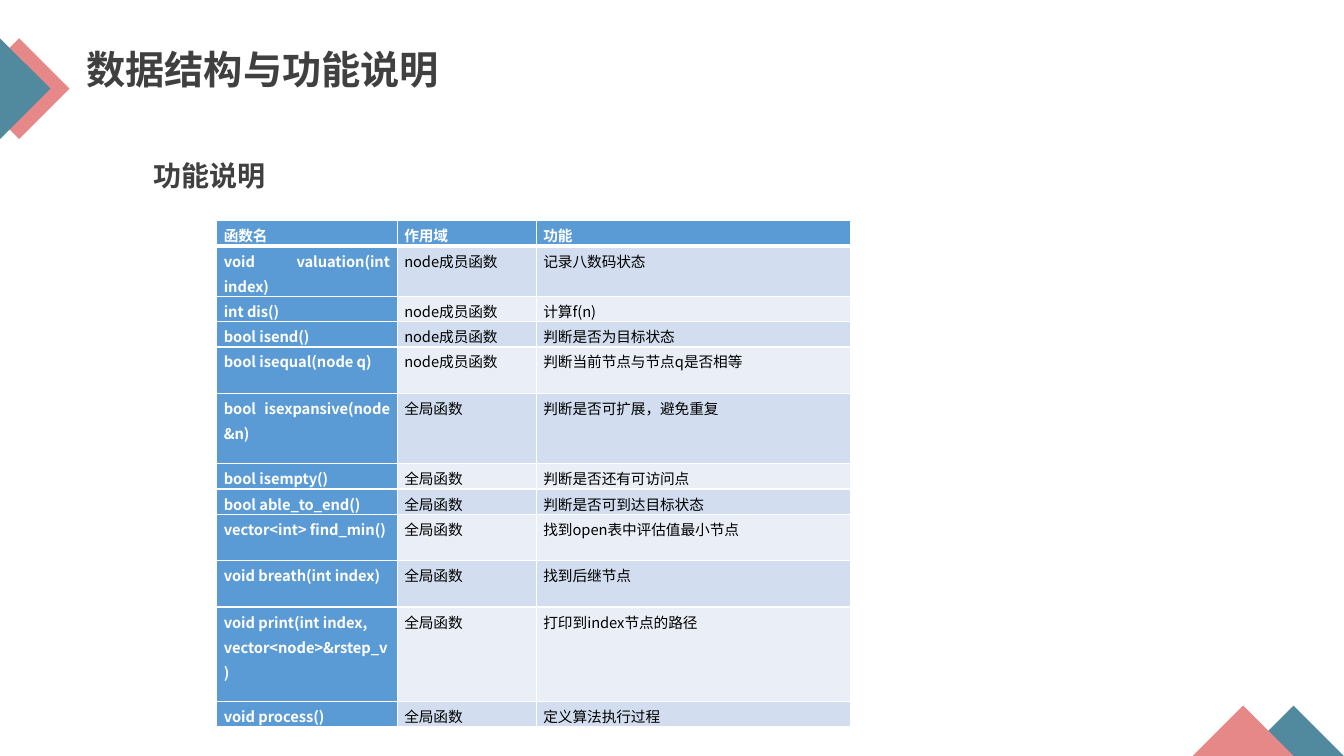
from pptx import Presentation
from pptx import util as u
from pptx.dml.color import RGBColor
from pptx.enum import shapes, text
from pptx.oxml.ns import qn
from lxml import etree

TEAL, PINK, INK = "518A9F", "E78888", "404040"
BLUE, PALE, FAINT = "5B9BD5", "D2DEEF", "EAEFF7"
WHITE, BLACK = "FFFFFF", "000000"


def tint(code):
    return RGBColor.from_string(code)


def cell(n):
    """Length of n grid cells, each half an inch square."""
    return u.Inches(n / 2)


class Deck:
    face = "Noto Sans CJK SC"

    def __init__(self):
        self.prs = Presentation()
        self.prs.slide_width = u.Inches(13.33)
        self.prs.slide_height = u.Inches(7.5)
        self.page = self.prs.slides.add_slide(self.prs.slide_layouts[6])

    def put(self, para, words, size, color, bold):
        run = para.add_run()
        run.text = words
        for key, val in dict(size=u.Pt(size), bold=bold, name=self.face).items():
            setattr(run.font, key, val)
        run.font.color.rgb = tint(color)
        east = etree.SubElement(run.font._element, qn("a:ea"))
        east.set("typeface", self.face)

    def gem(self, x, y, color):
        gem = self.page.shapes.add_shape(
            shapes.MSO_SHAPE.DIAMOND, cell(x), cell(y), cell(2), cell(2))
        gem.shadow.inherit = False
        gem.fill.solid()
        gem.fill.fore_color.rgb = tint(color)
        gem.line.fill.background()

    def label(self, x, y, wide, high, words, size, wrap=True):
        box = self.page.shapes.add_textbox(cell(x), cell(y), cell(wide), cell(high))
        frame = box.text_frame
        frame.word_wrap = wrap
        frame.auto_size = text.MSO_AUTO_SIZE.SHAPE_TO_FIT_TEXT
        self.put(frame.paragraphs[0], words, size, INK, True)

    def edge(self, spot, side, width):
        line = etree.SubElement(spot._tc.get_or_add_tcPr(), qn("a:ln" + side))
        line.set("w", str(u.Pt(width)))
        paint = etree.SubElement(line, qn("a:solidFill"))
        etree.SubElement(paint, qn("a:srgbClr")).set("val", WHITE)

    def fill(self, spot, words, row, col):
        head = row == 0 or col == 0
        widths = dict(L=1, R=1, T=3 if row == 1 else 1, B=3 if row == 0 else 1)
        for side, width in widths.items():
            self.edge(spot, side, width)
        spot.fill.solid()
        spot.fill.fore_color.rgb = tint(BLUE if head else PALE if row % 2 else FAINT)
        pads = dict(margin_left=0.07, margin_right=0.07, margin_top=0, margin_bottom=0)
        for key, val in pads.items():
            setattr(spot, key, u.Inches(val))
        para = spot.text_frame.paragraphs[0]
        para.line_spacing = u.Pt(18)
        # The long print signature stays ragged
        ragged = words.startswith("void print")
        para.alignment = text.PP_ALIGN.LEFT if ragged else text.PP_ALIGN.JUSTIFY
        self.put(para, words, 10.5, WHITE if head else BLACK, head)

    def table(self, x, y, cols, rows):
        highs = [0.48 * lines - 0.04 for lines, *_ in rows]
        grid = self.page.shapes.add_table(
            len(rows), len(cols), cell(x), cell(y),
            cell(sum(cols)), cell(sum(highs))).table
        for col, wide in zip(grid.columns, cols):
            col.width = cell(wide)
        for r, (high, (_, *words)) in enumerate(zip(highs, rows)):
            grid.rows[r].height = cell(high)
            for c, word in enumerate(words):
                self.fill(grid.cell(r, c), word, r, c)


NODE, ALL = "node成员函数", "全局函数"
# Lines of height, name, scope, purpose
ROWS = [
    (1, "函数名", "作用域", "功能"),
    (2, "void valuation(int index)", NODE, "记录八数码状态"),
    (1, "int dis()", NODE, "计算f(n)"),
    (1, "bool isend()", NODE, "判断是否为目标状态"),
    (2, "bool isequal(node q)", NODE, "判断当前节点与节点q是否相等"),
    (3, "bool isexpansive(node &n)", ALL, "判断是否可扩展，避免重复"),
    (1, "bool isempty()", ALL, "判断是否还有可访问点"),
    (1, "bool able_to_end()", ALL, "判断是否可到达目标状态"),
    (2, "vector<int> find_min()", ALL, "找到open表中评估值最小节点"),
    (2, "void breath(int index)", ALL, "找到后继节点"),
    (4, "void print(int index, vector<node>&rstep_v)", ALL, "打印到index节点的路径"),
    (1, "void process()", ALL, "定义算法执行过程"),
]


def main():
    deck = Deck()
    # Corner diamonds
    for x, y, color in [(24.66, 14, TEAL), (23.66, 14, PINK),
                        (-0.62, 0.76, PINK), (-1, 0.76, TEAL)]:
        deck.gem(x, y, color)
    # Headings
    deck.label(1.52, 0.8, 7.48, 1.14, "数据结构与功能说明", 28, wrap=False)
    deck.label(2.84, 3.04, 3.8, 0.88, "功能说明", 20)
    # Function table
    deck.table(4.3, 4.38, [3.58, 2.76, 6.24], ROWS)
    deck.prs.save("out.pptx")


if __name__ == "__main__":
    main()
